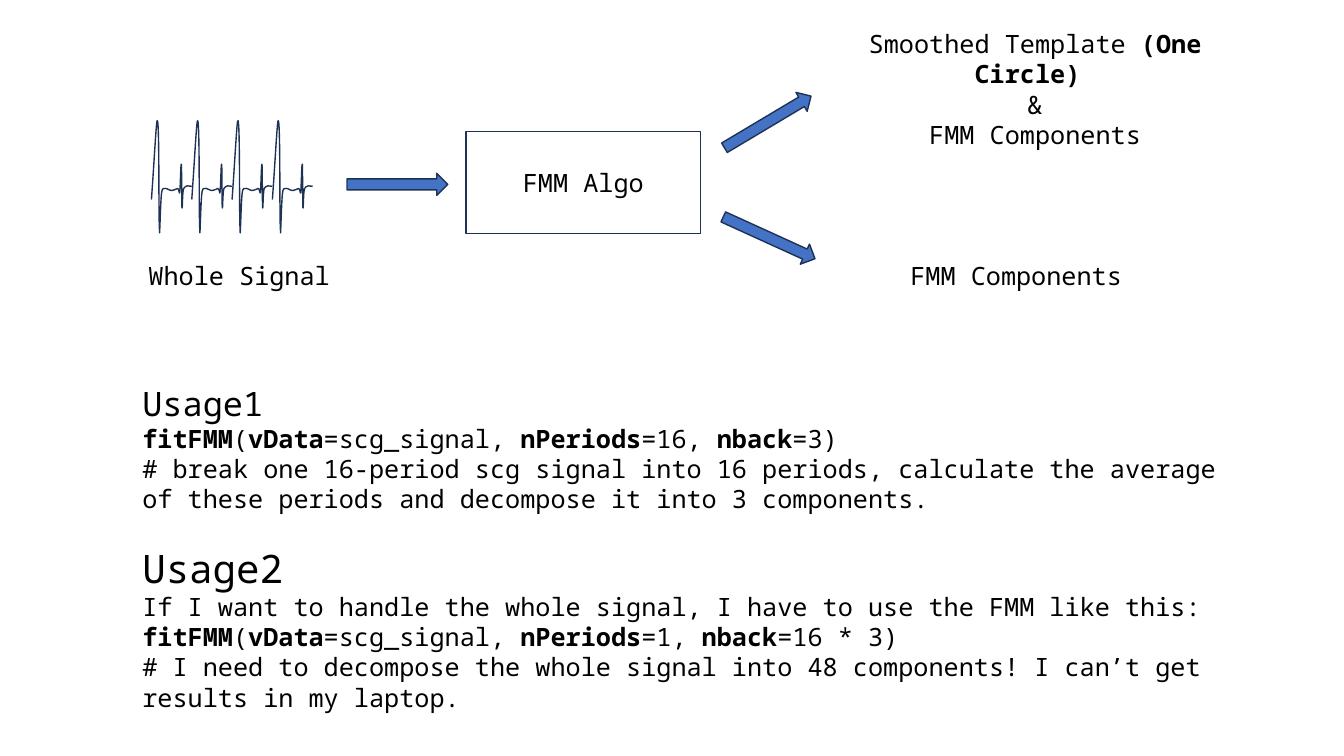
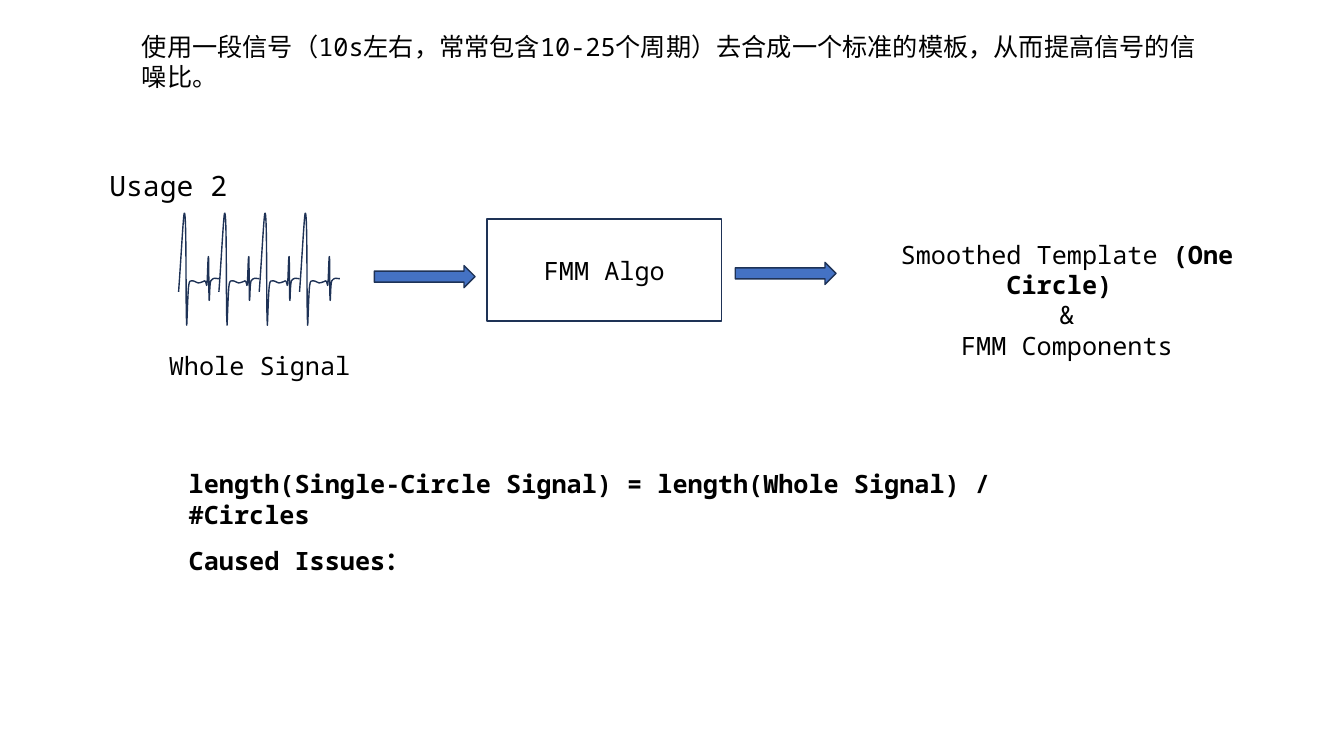
from dataclasses import dataclass

from lxml import etree
from pptx import Presentation
from pptx.dml.color import RGBColor
from pptx.enum.shapes import MSO_SHAPE
from pptx.enum.text import MSO_ANCHOR, MSO_AUTO_SIZE, PP_ALIGN
from pptx.oxml.ns import qn
from pptx.util import Pt

LEFT, CENTER = PP_ALIGN.LEFT, PP_ALIGN.CENTER
MIDDLE = MSO_ANCHOR.MIDDLE
GROW = MSO_AUTO_SIZE.SHAPE_TO_FIT_TEXT
RECT, ARROW = MSO_SHAPE.RECTANGLE, MSO_SHAPE.RIGHT_ARROW


@dataclass(frozen=True)
class Theme:
    font: str = "Noto Sans Mono"
    ink: RGBColor = RGBColor(0x00, 0x00, 0x00)
    outline: RGBColor = RGBColor(0x1E, 0x32, 0x56)
    arrow: RGBColor = RGBColor(0x44, 0x72, 0xC4)
    line: float = 1
    body: float = 18
    label: float = 20
    usage: float = 24
    usage_large: float = 28
    section_gap: float = 21.5


T = Theme()


# Content: a paragraph is (runs, size, space before); a run is (text, bold)
def para(*runs, size=T.body, before=0):
    return runs, size, before


def plain(text, **options):
    return para((text, False), **options)


def bold(text, **options):
    return para((text, True), **options)


def fit_call(periods, back):
    return para(("fitFMM", True), ("(", False), ("vData", True),
                ("=scg_signal, ", False), ("nPeriods", True),
                (f"={periods}, ", False), ("nback", True), (f"={back})", False))


ALGO = [plain("FMM Algo")]
SIGNAL = [plain("Whole Signal")]
COMPONENTS = [plain("FMM Components")]
TEMPLATE = [
    para(("Smoothed Template ", False), ("(One Circle) ", True)),
    plain("&"),
    *COMPONENTS,
]
USAGES = [
    plain("Usage1", size=T.usage),
    fit_call("16", "3"),
    plain("# break one 16-period scg signal into 16 periods, calculate the "
          "average of these periods and decompose it into 3 components."),
    plain("Usage2", size=T.usage_large, before=T.section_gap),
    plain("If I want to handle the whole signal, I have to use the FMM like this:"),
    fit_call("1", "16 * 3"),
    plain("# I need to decompose the whole signal into 48 components! "
          "I can’t get results in my laptop."),
]
PURPOSE = [plain("使用一段信号（10s左右，常常包含10-25个周期）去合成一个标准的模板，"
                 "从而提高信号的信噪比。")]
USAGE_2 = [plain("Usage 2", size=T.label)]
LENGTH_RULE = [bold("length(Single-Circle Signal) = length(Whole Signal) / #Circles")]
ISSUES = [bold("Caused Issues：")]

# One heartbeat: start point, then cubic curves (two controls and an end)
BEAT_START = (0, 56.9)
BEAT_CURVES = [
    ((2.2, 26.6), (3.6, -2.9), (4.3, 0.7)),
    ((5.8, 4.3), (5, 70.6), (5.8, 79.2)),
    ((5.8, 87.8), (6.5, 57.6), (7.2, 52.6)),
    ((7.9, 47.5), (8.6, 49.7), (10.1, 49)),
    ((11.5, 49), (13.7, 51.1), (15.1, 50.4)),
    ((16.9, 50.4), (17.6, 49), (18.7, 49)),
    ((19.8, 49), (20, 54), (20.2, 51.8)),
    ((20.7, 49), (20.9, 30.2), (21.4, 31.7)),
    ((21.6, 33.8), (21.6, 59.8), (21.8, 62.6)),
    ((22.2, 65.5), (22, 51.8), (23, 49)),
    ((24.5, 46.8), (26.6, 46.8), (28.8, 47.5)),
]
BEATS, BEAT_WIDTH, BEAT_HEIGHT = 4, 28.8, 80.6

# Sizes shared by both slides
ALGO_SIZE = (167.8, 72.7)
ARROW_SIZE = (72, 15.8)
TEMPLATE_SIZE = (329.8, 72.7)
SIGNAL_SIZE = (183.6, 28.8)


# Drawing helpers
def write(tf, paragraphs, align):
    tf.word_wrap = True
    for i, (runs, size, before) in enumerate(paragraphs):
        p = tf.add_paragraph() if i else tf.paragraphs[0]
        p.alignment = align
        if before:
            p.space_before = Pt(before)
        for text, is_bold in runs:
            r = p.add_run()
            r.text = text
            r.font.name = T.font
            r.font.size = Pt(size)
            r.font.bold = is_bold
            r.font.color.rgb = T.ink


def text_box(s, at, size, paragraphs, align=CENTER):
    tf = s.shapes.add_textbox(*map(Pt, at + size)).text_frame
    write(tf, paragraphs, align)
    tf.auto_size = GROW


def style(sp, fill=None):
    sp.shadow.inherit = False
    sp.line.color.rgb = T.outline
    sp.line.width = Pt(T.line)
    if fill is None:
        sp.fill.background()
    else:
        sp.fill.solid()
        sp.fill.fore_color.rgb = fill


def algo_box(s, at):
    sp = s.shapes.add_shape(RECT, *map(Pt, at + ALGO_SIZE))
    style(sp)
    sp.text_frame.vertical_anchor = MIDDLE
    write(sp.text_frame, ALGO, CENTER)


def arrow(s, at, rotation=0):
    sp = s.shapes.add_shape(ARROW, *map(Pt, at + ARROW_SIZE))
    style(sp, T.arrow)
    sp.rotation = rotation


def add_curve(outline, tag, points):
    step = etree.SubElement(outline, qn(tag))
    for x, y in points:
        etree.SubElement(step, qn("a:pt"), x=str(Pt(x)), y=str(Pt(y)))


def signal(s, left, top):
    for beat in range(BEATS):
        x = left + beat * BEAT_WIDTH
        # The diagonal fixes the frame; curves then take its place
        builder = s.shapes.build_freeform(Pt(x), Pt(top))
        builder.add_line_segments(
            [(Pt(x + BEAT_WIDTH), Pt(top + BEAT_HEIGHT))], close=False)
        sp = builder.convert_to_shape()
        style(sp)
        outline = next(sp.element.iter(qn("a:path")))
        for step in list(outline):
            outline.remove(step)
        add_curve(outline, "a:moveTo", [BEAT_START])
        for curve in BEAT_CURVES:
            add_curve(outline, "a:cubicBezTo", curve)


prs = Presentation()
prs.slide_width, prs.slide_height = Pt(960), Pt(540)
blank = prs.slide_layouts[6]

# Slide 1: two ways to use the algorithm
s = prs.slides.add_slide(blank)
signal(s, 108.2, 85.6)
algo_box(s, (332.8, 94.1))
text_box(s, (574.4, 16.8), TEMPLATE_SIZE, TEMPLATE)
arrow(s, (247.9, 123.8))
arrow(s, (512.4, 79.2), 329.2)
text_box(s, (79, 182.6), SIGNAL_SIZE, SIGNAL)
arrow(s, (513.4, 162), 24.5)
text_box(s, (560.9, 182.6), TEMPLATE_SIZE, COMPONENTS)
text_box(s, (94.6, 270), (787, 244.8), USAGES, LEFT)

# Slide 2: from the whole signal to one template
s = prs.slides.add_slide(blank)
text_box(s, (94.3, 18.7), (771.8, 51.1), PURPOSE, LEFT)
signal(s, 127.6, 151.6)
algo_box(s, (347.8, 156.5))
text_box(s, (597.2, 167.3), TEMPLATE_SIZE, TEMPLATE)
arrow(s, (267.4, 189.7))
arrow(s, (525.2, 187.4))
text_box(s, (93.6, 246.5), SIGNAL_SIZE, SIGNAL)
text_box(s, (43.5, 116.6), (153.4, 31.7), USAGE_2)
text_box(s, (127.7, 331.2), (670.3, 28.8), LENGTH_RULE, LEFT)
text_box(s, (127.7, 385.9), (670.3, 51.1), ISSUES, LEFT)

prs.save("out.pptx")
